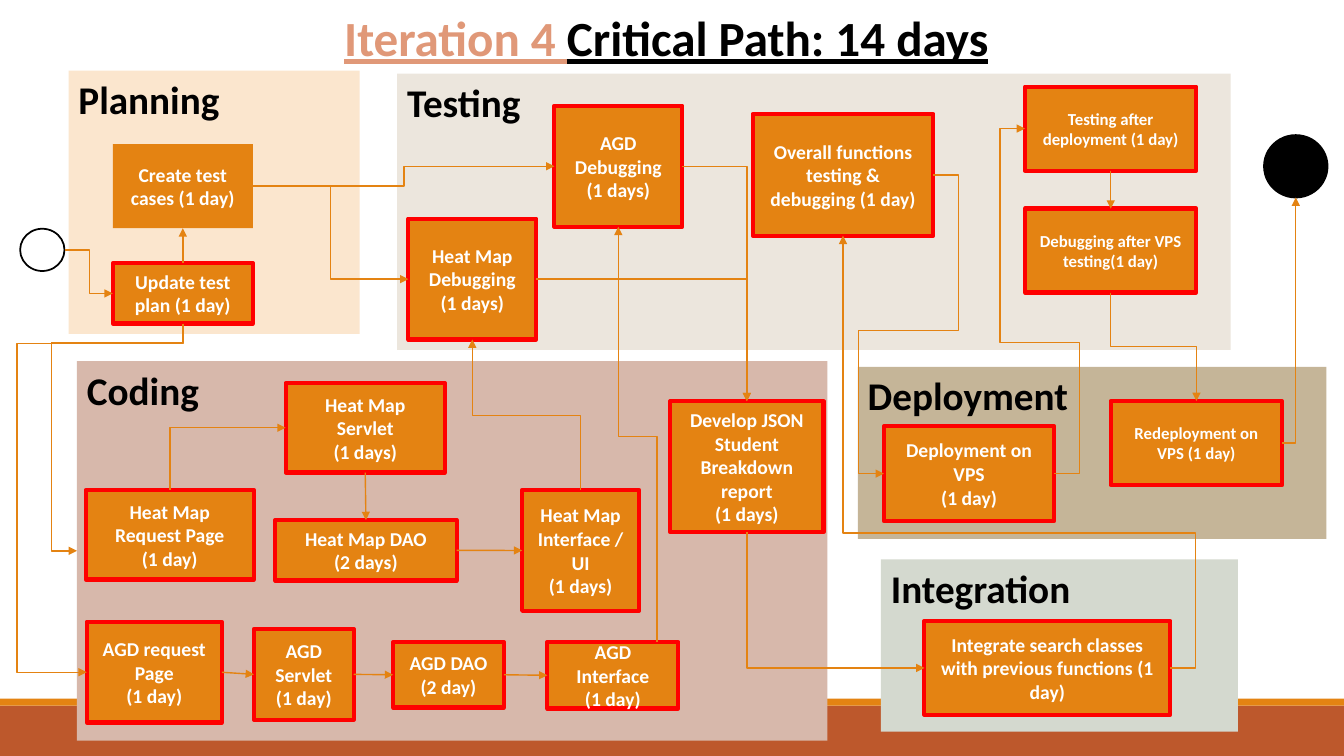
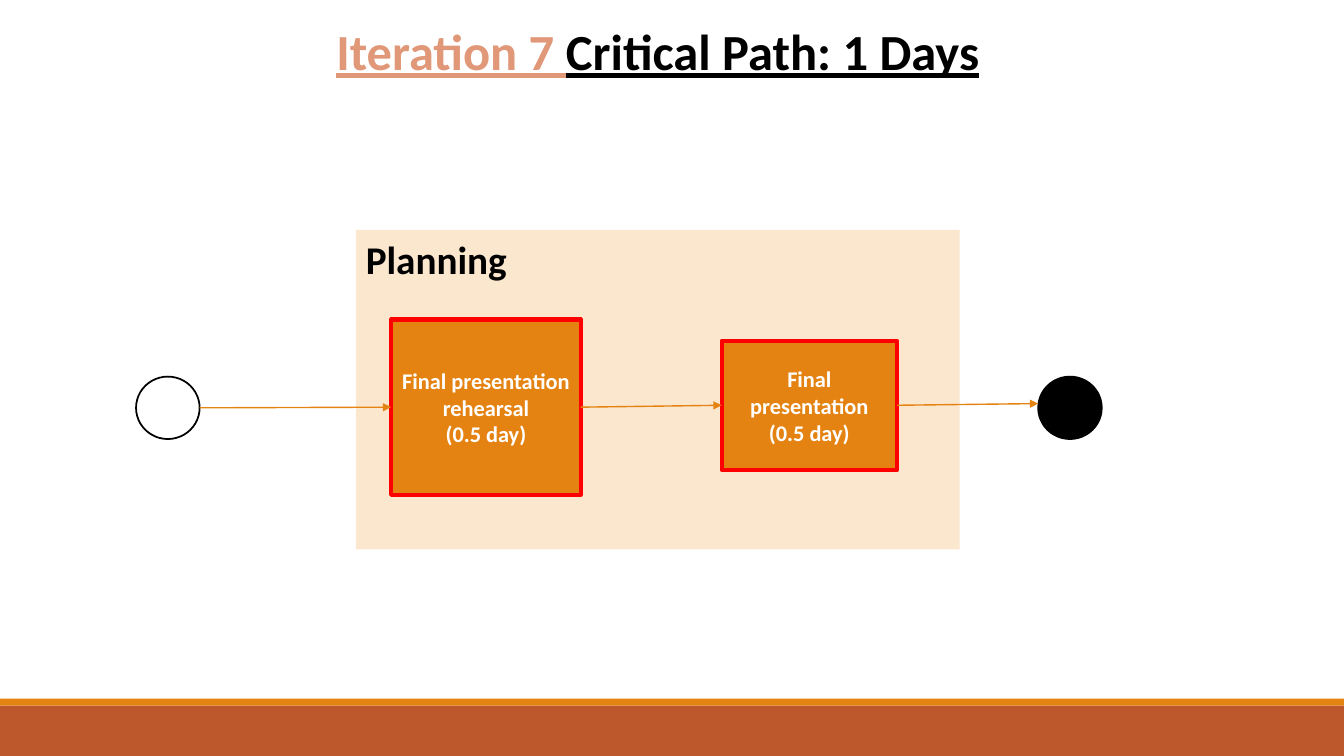
import dataclasses

import lxml.etree
import pptx
import pptx.dml.color
import pptx.enum.shapes
import pptx.enum.text
import pptx.oxml.ns
import pptx.util

Pt = pptx.util.Pt
Kind = pptx.enum.shapes.MSO_SHAPE
Link = pptx.enum.shapes.MSO_CONNECTOR
Align = pptx.enum.text.PP_ALIGN
Anchor = pptx.enum.text.MSO_ANCHOR
qn = pptx.oxml.ns.qn


@dataclasses.dataclass(frozen=True)
class Theme:
    font: str = "Calibri"
    white: str = "FFFFFF"
    black: str = "000000"
    orange: str = "E48312"
    brown: str = "BD582C"
    red: str = "FF0000"
    salmon: str = "E09878"
    cream: str = "FBE6CE"
    sand: str = "ECE6DD"
    rose: str = "D7B8AB"
    tan: str = "C5B598"
    sage: str = "D4D9CF"
    head: float = 28
    large: float = 16
    body: float = 14
    small: float = 12
    border: float = 3
    ring: float = 1.25
    wire: float = 1


T = Theme()
WIDE, HIGH = 960, 540


def rgb(code):
    return pptx.dml.color.RGBColor.from_string(code)


def write(shape, text, size=T.body, color=T.white, align=Align.CENTER,
          anchor=Anchor.MIDDLE, under=False):
    """Append text to the last paragraph; each newline starts another."""
    frame = shape.text_frame
    frame.word_wrap = True
    frame.vertical_anchor = anchor
    for i, line in enumerate(text.split("\n")):
        para = frame.add_paragraph() if i else frame.paragraphs[-1]
        para.alignment = align
        run = para.add_run()
        run.text = line
        font = run.font
        font.name, font.size, font.bold = T.font, Pt(size), True
        font.underline = under
        font.color.rgb = rgb(color)


def draw(slide, box, fill, line=None, width=T.border, kind=Kind.RECTANGLE):
    shape = slide.shapes.add_shape(kind, *map(Pt, box))
    shape.shadow.inherit = False
    shape.fill.solid()
    shape.fill.fore_color.rgb = rgb(fill)
    if line:
        shape.line.color.rgb = rgb(line)
        shape.line.width = Pt(width)
    else:
        shape.line.fill.background()
    return shape


def dot(slide, box, fill):
    return draw(slide, box, fill, T.black, T.ring, Kind.OVAL)


def port(shape, side):
    """Middle of one side (l, r, t or b), in points."""
    across, down = {"l": (0, .5), "r": (1, .5), "t": (.5, 0), "b": (.5, 1)}[side]
    return ((shape.left + across * shape.width) / Pt(1),
            (shape.top + down * shape.height) / Pt(1))


def bend(wire, start, end, axis, turns):
    """Make a connector an elbow whose first leg runs along axis (0 is x)."""
    dx, dy = end[0] - start[0], end[1] - start[1]
    wide, high, angle = dx, dy, 0
    if axis:
        sign = 1 if dx * dy < 0 else -1
        wide, high, angle = sign * dy, -sign * dx, 90 if sign > 0 else 270
    wire.width, wire.height = Pt(abs(wide)), Pt(abs(high))
    wire.left = Pt((start[0] + end[0] - abs(wide)) / 2)
    wire.top = Pt((start[1] + end[1] - abs(high)) / 2)
    props = wire._element.spPr
    frame = props.find(qn("a:xfrm"))
    for key, val in (("rot", angle * 60000), ("flipH", int(wide < 0)),
                     ("flipV", int(high < 0))):
        frame.set(key, str(val))
    geom = props.find(qn("a:prstGeom"))
    geom.set("prst", f"bentConnector{len(turns) + 2}")
    guides = geom.find(qn("a:avLst"))
    if guides is None:
        guides = lxml.etree.SubElement(geom, qn("a:avLst"))
    for i, turn in enumerate(turns):
        way = (axis + i) % 2
        part = (turn - start[way]) / (end[way] - start[way])
        lxml.etree.SubElement(guides, qn("a:gd"), name=f"adj{i + 1}" if len(turns) > 1
                              else "adj1", fmla=f"val {round(part * 100000)}")


def join(slide, first, last, sides, *turns, shift=0):
    """Arrow between two shapes; turns are the x and y of its inner legs."""
    start, end = port(first, sides[0]), port(last, sides[1])
    end = end[0], end[1] + shift
    straight = sides in ("lr", "rl", "tb", "bt") and not turns
    wire = slide.shapes.add_connector(Link.STRAIGHT if straight else Link.ELBOW,
                                      *map(Pt, start + end))
    if not straight:
        bend(wire, start, end, int(sides[0] in "tb"), turns)
    wire.line.color.rgb = rgb(T.orange)
    wire.line.width = Pt(T.wire)
    lxml.etree.SubElement(wire.line._get_or_add_ln(), qn("a:tailEnd"), type="triangle")
    lxml.etree.SubElement(wire._element.spPr, qn("a:effectLst"))


def phase(slide, box, name, fill, tasks):
    """Titled panel; each task is key: (x, y, w, h, text, format)."""
    panel = draw(slide, box, fill)
    write(panel, name, T.head, T.black, Align.LEFT, Anchor.TOP)
    made = {name: panel}
    for key, (x, y, w, h, text, *rest) in tasks.items():
        look = dict(rest[0]) if rest else {}
        edge = look.pop("edge", T.red)
        made[key] = draw(slide, (box[0] + x, box[1] + y, w, h), T.orange, edge)
        write(made[key], text, **look)
    return made


def base(deck, box, size, lead, rest):
    """Blank slide with the footer bands and a two-colour title."""
    slide = deck.slides.add_slide(deck.slide_layouts[6])
    draw(slide, (0, 504, WIDE, 36), T.brown)
    draw(slide, (0, 499, WIDE, 5), T.orange)
    title = slide.shapes.add_textbox(*map(Pt, box))
    for text, color in ((lead, T.salmon), (rest, T.black)):
        write(title, text, size, color, anchor=Anchor.TOP, under=True)
    return slide


def fourth(deck):
    slide = base(deck, (0, 2, 952, 50), 35.1, "Iteration 4 ", "Critical Path: 14 days")
    small = {"size": T.small}

    # Phases
    box = {}
    box |= phase(slide, (55, 258, 536, 271), "Coding", T.rose, {
        "map page": (6.2, 92, 120.2, 64, "Heat Map Request Page\n(1 day)"),
        "map serve": (149, 15.6, 113.8, 64, "Heat Map Servlet\n(1 days)"),
        "map dao": (141.6, 113.5, 129.6, 43.2, "Heat Map DAO\n(2 days)"),
        "map face": (318, 92, 83.5, 86.4, "Heat Map Interface /UI\n(1 days)"),
        "agd page": (7, 186.2, 96.5, 72, "AGD request Page\n(1 day)"),
        "agd serve": (126.4, 191.3, 71.3, 64.8, "AGD Servlet\n(1 day)"),
        "agd dao": (225.8, 200.6, 79.2, 46.8, "AGD DAO\n(2 day)"),
        "agd face": (336, 200.6, 93.6, 47.5, "AGD Interface\n(1 day)"),
        "json": (423.8, 28.6, 109.4, 93.6,
                 "Develop JSON Student Breakdown report\n(1 days)"),
    })
    box |= phase(slide, (49, 50.5, 208, 188), "Planning", T.cream, {
        "plan": (31.6, 137.5, 100, 43.2, "Update test plan (1 day)"),
        "cases": (31.6, 52.5, 100, 60, "Create test cases (1 day)", {"edge": None}),
    })
    box |= phase(slide, (283.7, 52.6, 595.4, 197.3), "Testing", T.sand, {
        "map bugs": (8, 103.6, 91.4, 86.4, "Heat Map Debugging\n(1 days)"),
        "agd bugs": (112.3, 23, 91.4, 86.4, "AGD Debugging\n(1 days)"),
        "whole": (254, 28.8, 129, 87,
                  "Overall functions testing & debugging (1 day)"),
        "retest": (448.5, 9.3, 122.4, 60, "Testing after deployment (1 day)", small),
        "rebug": (448.5, 96.4, 122.4, 60,
                  "Debugging after VPS testing(1 day)", small),
    })
    box |= phase(slide, (629.3, 399.6, 255, 123), "Integration", T.sage, {
        "merge": (31, 44, 175.7, 67,
                  "Integrate search classes with previous functions (1 day)"),
    })
    box |= phase(slide, (612.7, 262, 334.8, 123), "Deployment", T.tan, {
        "deploy": (18.7, 42.5, 121.7, 67.7, "Deployment on VPS\n(1 day)"),
        "again": (180.7, 24.5, 122.4, 60, "Redeployment on VPS (1 day)", small),
    })

    # Start and end
    box["start"] = dot(slide, (14.4, 163.4, 31.7, 30.2), T.white)
    box["end"] = dot(slide, (902.9, 96.5, 45.4, 44.6), T.black)

    # Arrows: from, to, sides, inner legs
    for first, last, *way in (
        ("start", "plan", "rl", 64),
        ("plan", "cases", "tb"),
        ("plan", "Coding", "bl", 244.8, 36.7),
        ("plan", "agd page", "bl", 245.5, 12.2),
        ("cases", "agd bugs", "rl", 288.7),
        ("cases", "map bugs", "rl", 236.2),
        ("map page", "map serve", "tl"),
        ("map serve", "map dao", "bt"),
        ("map dao", "map face", "rl"),
        ("map face", "map bugs", "tb", 296.6),
        ("agd page", "agd serve", "rl"),
        ("agd serve", "agd dao", "rl"),
        ("agd dao", "agd face", "rl"),
        ("map bugs", "json", "rt"),
        ("agd bugs", "json", "rt"),
        ("json", "merge", "bl"),
        ("merge", "whole", "rb", 854, 380.9),
        ("whole", "deploy", "rl", 684.7, 236.2, 613.4),
        ("deploy", "retest", "rl", 771, 244.8, 714.2),
        ("retest", "rebug", "bt"),
        ("rebug", "again", "bt", 247.7),
        ("again", "end", "rb"),
    ):
        join(slide, box[first], box[last], *way)
    # This arrow leaves right of the centre of its box
    face = box["agd face"]
    spot = draw_port(face, 31.5)
    join(slide, spot, box["agd bugs"], "tb", 311.8)


@dataclasses.dataclass
class Spot:
    left: int
    top: int
    width: int = 0
    height: int = 0


def draw_port(shape, shift):
    """Point on the top side, moved sideways from its middle."""
    x, y = port(shape, "t")
    return Spot(Pt(x + shift), Pt(y))


def seventh(deck):
    slide = base(deck, (0, 10.6, 940, 50), 36.1, "Iteration 7 ", "Critical Path: 1 Days")
    large = {"size": T.large}

    # Phase
    box = phase(slide, (254.2, 164.2, 431.3, 228.2), "Planning", T.cream, {
        "final": (261.3, 79.2, 125.3, 92.2, "Final presentation\n(0.5 day)", large),
        "trial": (25.2, 64, 135.4, 125.3,
                  "Final presentation rehearsal\n(0.5 day)", large),
    })

    # Start, end and arrows
    start, end = (dot(slide, (x, 269, 45.4, 44.6), fill)
                  for x, fill in ((97.2, T.white), (741.6, T.black)))
    join(slide, start, box["trial"], "rl")
    join(slide, box["trial"], box["final"], "rl")
    join(slide, box["final"], end, "rl", shift=-3)


def main():
    deck = pptx.Presentation()
    deck.slide_width, deck.slide_height = Pt(WIDE), Pt(HIGH)
    fourth(deck)
    seventh(deck)
    deck.save("out.pptx")


if __name__ == "__main__":
    main()
